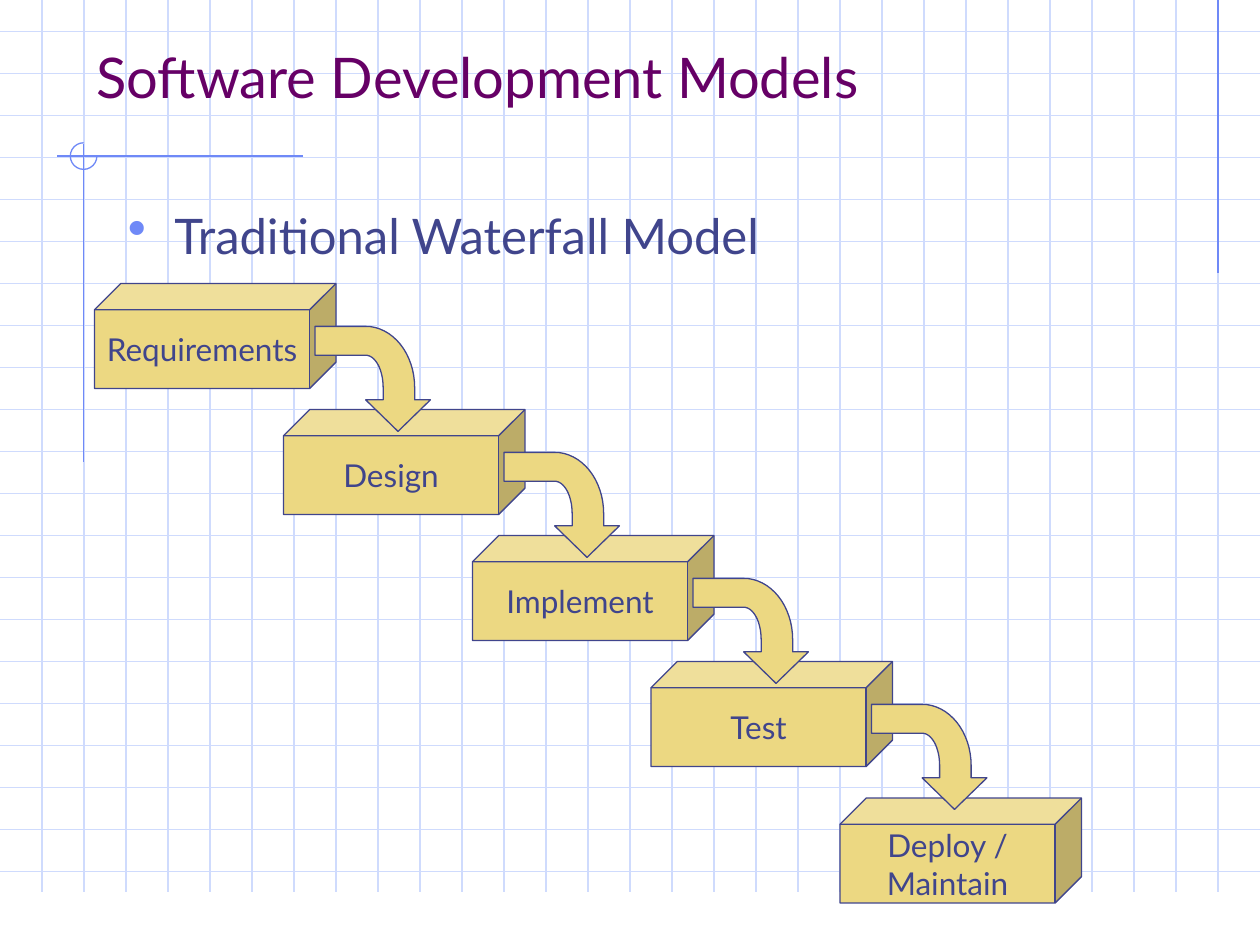
from math import cos, pi, sin

from lxml import etree
from pptx import Presentation
from pptx.dml.color import RGBColor
from pptx.enum.shapes import MSO_CONNECTOR, MSO_SHAPE
from pptx.enum.text import MSO_ANCHOR, PP_ALIGN
from pptx.oxml.ns import qn
from pptx.util import Pt

STRAIGHT = MSO_CONNECTOR.STRAIGHT
CUBE, ARC = MSO_SHAPE.CUBE, MSO_SHAPE.ARC
TOP, MIDDLE, BOTTOM = MSO_ANCHOR.TOP, MSO_ANCHOR.MIDDLE, MSO_ANCHOR.BOTTOM
CENTER = PP_ALIGN.CENTER

GRID_BLUE = RGBColor(0xCF, 0xDB, 0xFD)
ACCENT_BLUE = RGBColor(0x6F, 0x89, 0xF7)
INDIGO = RGBColor(0x40, 0x45, 0x8C)
PURPLE = RGBColor(0x66, 0x00, 0x66)
SAND = RGBColor(0xEC, 0xD8, 0x82)

FONT = "Lato"
LINE_WIDTH = 0.74
SLIDE_WIDTH, SLIDE_HEIGHT = 720, 540
GRID_STEP = 24
CUBE_WIDTH, CUBE_HEIGHT = 138, 60

STAGES = [
    ("Requirements", 54, 162),
    ("Design", 162, 234),
    ("Implement", 270, 306),
    ("Test", 372, 378),
    ("Deploy /\vMaintain", 480, 456),
]


def set_font(paragraph, size, color):
    """Give a paragraph its font, size in points and colour."""
    paragraph.font.name = FONT
    paragraph.font.size = Pt(size)
    paragraph.font.color.rgb = color


def style_outline(shape, color):
    """Give a shape a thin outline and no shadow."""
    shape.shadow.inherit = False
    shape.line.color.rgb = color
    shape.line.width = Pt(LINE_WIDTH)


def fill_sand(shape):
    """Give a diagram part its sand fill and indigo outline."""
    shape.fill.solid()
    shape.fill.fore_color.rgb = SAND
    style_outline(shape, INDIGO)


def add_rule(slide, x1, y1, x2, y2, color):
    """Draw a thin straight line between two points."""
    rule = slide.shapes.add_connector(STRAIGHT, Pt(x1), Pt(y1), Pt(x2), Pt(y2))
    rule.line.color.rgb = color
    rule.line.width = Pt(LINE_WIDTH)
    etree.SubElement(rule.line._get_or_add_ln().getparent(), qn("a:effectLst"))


def add_grid(slide, width, height):
    """Draw the squared-paper background over the given area."""
    for y in range(18, height, GRID_STEP):
        add_rule(slide, 0, y, width, y, GRID_BLUE)
    for x in range(GRID_STEP, width, GRID_STEP):
        add_rule(slide, x, 0, x, height, GRID_BLUE)


def add_ornament(slide, x, y):
    """Draw the accent lines and the three-quarter circle centred on x, y."""
    add_rule(slide, 696, 0, 696, 156, ACCENT_BLUE)
    add_rule(slide, x + 125.5, y, x - 15.5, y, ACCENT_BLUE)
    add_rule(slide, x, y - 7, x, y + 175, ACCENT_BLUE)
    radius = 7.6
    circle = slide.shapes.add_shape(
        ARC, Pt(x - radius), Pt(y - radius), Pt(2 * radius), Pt(2 * radius))
    circle.adjustments[0] = 0
    circle.adjustments[1] = 162  # 270 degrees in units of 100000/60000
    circle.fill.background()
    style_outline(circle, ACCENT_BLUE)


def add_text(slide, box, text, anchor):
    """Add a wrapping text box and return its paragraph."""
    frame = slide.shapes.add_textbox(*map(Pt, box)).text_frame
    frame.word_wrap = True
    frame.vertical_anchor = anchor
    paragraph = frame.paragraphs[0]
    paragraph.text = text
    return paragraph


def add_title(slide, box, text):
    """Add the slide title."""
    set_font(add_text(slide, box, text, BOTTOM), 32, PURPLE)


def add_topic(slide, box, text):
    """Add the bulleted topic line."""
    topic = add_text(slide, box, text, TOP)
    topic.space_before = Pt(7)
    properties = topic._p.get_or_add_pPr()
    properties.set("marL", str(Pt(26.6)))
    properties.set("indent", str(-Pt(26.6)))
    bullet_color = etree.SubElement(properties, qn("a:buClr"))
    etree.SubElement(bullet_color, qn("a:srgbClr"), val=str(ACCENT_BLUE))
    etree.SubElement(properties, qn("a:buSzPct"), val="110000")
    etree.SubElement(properties, qn("a:buChar"), char="\u2022")
    set_font(topic, 28, INDIGO)


def add_stage(slide, left, top, label):
    """Add one labelled cube of the waterfall."""
    cube = slide.shapes.add_shape(
        CUBE, Pt(left), Pt(top), Pt(CUBE_WIDTH), Pt(CUBE_HEIGHT))
    cube.adjustments[0] = 0.25
    fill_sand(cube)
    frame = cube.text_frame
    frame.word_wrap = False
    frame.vertical_anchor = MIDDLE
    paragraph = frame.paragraphs[0]
    paragraph.text = label
    paragraph.alignment = CENTER
    set_font(paragraph, 18, INDIGO)


def quarter_bend(x, y, rx, ry, steps=16):
    """Return points of a quarter ellipse from its right end to its top."""
    angles = [pi / 2 * i / steps for i in range(steps + 1)]
    return [(x + rx * cos(a), y - ry * sin(a)) for a in angles]


def add_flow_arrow(slide, left, top):
    """Add the bent arrow that falls from one stage to the next."""
    outer = quarter_bend(29, 35, 28, 35)
    inner = quarter_bend(29, 35, 10, 18.5)[::-1]
    outline = [(47.5, 60), (66, 42), (57, 42), *outer, (0, 0), (0, 16.5),
               *inner, (39, 42), (29, 42)]
    points = [(Pt(left + x), Pt(top + y)) for x, y in outline]
    builder = slide.shapes.build_freeform(*points[0])
    builder.add_line_segments(points[1:], close=True)
    fill_sand(builder.convert_to_shape())


def add_waterfall(slide, stages):
    """Add the stages from last to first, each with its arrow onward."""
    for label, left, top in reversed(stages):
        add_stage(slide, left, top, label)
        if label != stages[-1][0]:
            add_flow_arrow(slide, left + 126, top + 24.5)


def main():
    """Build and save the slide."""
    deck = Presentation()
    deck.slide_width, deck.slide_height = Pt(SLIDE_WIDTH), Pt(SLIDE_HEIGHT)
    slide = deck.slides.add_slide(deck.slide_layouts[6])
    add_grid(slide, SLIDE_WIDTH, 510)
    add_ornament(slide, 47.8, 89.2)
    add_title(slide, (48, 20, 612, 46), "Software Development Models")
    add_topic(slide, (66, 114, 612, 81), "Traditional Waterfall Model")
    add_waterfall(slide, STAGES)
    deck.save("out.pptx")


main()
